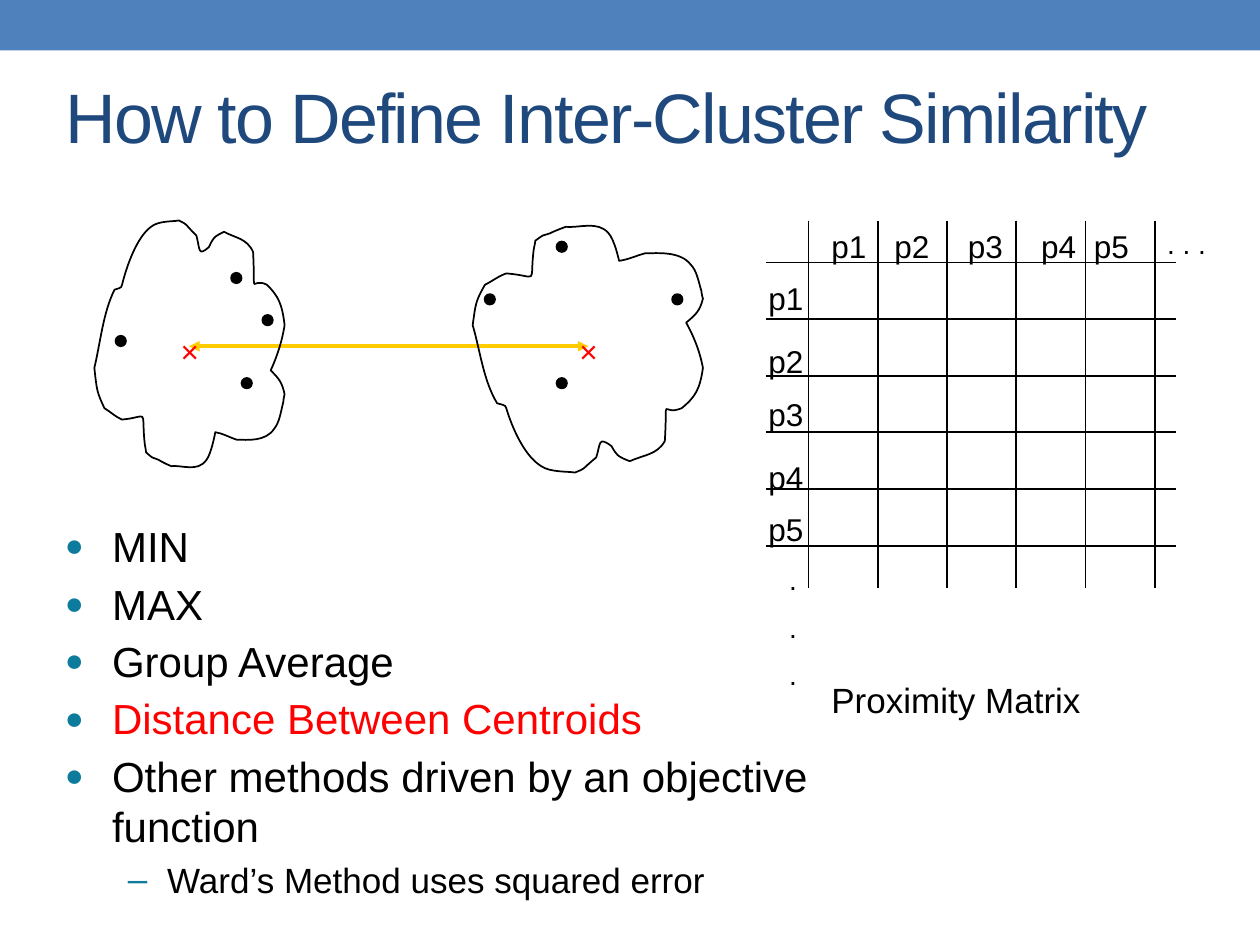
"""Build a slide on inter-cluster similarity with two clusters and a proximity matrix."""
import lxml.etree
import pptx
import pptx.dml.color
import pptx.enum.shapes
import pptx.enum.text
import pptx.oxml.ns
import pptx.util

Cm, Pt = pptx.util.Cm, pptx.util.Pt
qn = pptx.oxml.ns.qn

COLORS = {"banner": "4F81BD", "title": "1F497D", "ink": "000000",
          "accent": "FF0000", "arrow": "FFCC00", "bullet": "0C7B9C"}
FONT = "Arial"
TITLE = "How to Define Inter-Cluster Similarity"
METHODS = [
    ("MIN", 0, "ink"),
    ("MAX", 0, "ink"),
    ("Group Average", 0, "ink"),
    ("Distance Between Centroids", 0, "accent"),
    ("Other methods driven by an objective function", 0, "ink"),
    ("Ward’s Method uses squared error", 1, "ink"),
]
LEVELS = [
    {"size": 24, "margin": 0.95, "hanging": 0.95, "mark": "●", "percent": 75},
    {"size": 20, "margin": 2.06, "hanging": 0.79, "mark": "–", "percent": 100},
]
POINTS = ["p1", "p2", "p3", "p4", "p5"]
COLUMN_LEFTS = [16.51, 17.78, 19.26, 20.74, 21.8]
ROW_TOPS = [5.5, 6.77, 7.83, 9.1, 10.16]
GRID = {"left": 15.45, "right": 23.7, "top": 4.45, "bottom": 11.86,
        "first_x": 16.3, "last_x": 23.28, "first_y": 5.29, "last_y": 11}

OUTLINE_UNIT = 0.0254
OUTLINE_CENTER = (75.5, 97.5)
OUTLINE_START = (16, 55)
OUTLINE_CURVES = [
    (7, 73, 5, 96, 0, 117), (2, 135, 2, 136, 8, 149), (13, 152, 17, 156, 22, 158),
    (44, 156, 37, 148, 40, 177), (40, 179, 41, 181, 41, 184), (48, 190, 44, 187, 51, 190),
    (54, 192, 61, 195, 61, 195), (70, 194, 82, 200, 89, 190), (93, 185, 96, 168, 96, 168),
    (102, 169, 107, 172, 113, 174), (121, 174, 136, 176, 143, 165),
    (147, 160, 148, 152, 150, 144), (150, 142, 151, 138, 151, 138),
    (149, 128, 146, 125, 140, 119), (145, 108, 149, 96, 151, 83), (149, 66, 146, 60, 137, 51),
    (123, 44, 128, 65, 126, 25), (121, 14, 112, 14, 103, 9), (97, 12, 95, 12, 91, 21),
    (82, 29, 84, 23, 81, 12), (70, 1, 75, 4, 67, 0), (63, 1, 51, 0, 45, 5),
    (34, 13, 26, 35, 22, 51), (22, 54, 18, 54, 16, 55),
]
CLUSTERS = [
    {"center": (3.82, 6.92), "stretch": 1, "direction": 1, "rotation": 270,
     "dots": [(4.87, 7.62), (4.66, 5.5), (2.33, 6.77), (5.29, 6.35)], "centroid": 3.39},
    {"center": (11.85, 7.05), "stretch": 1.21, "direction": -1, "rotation": 90,
     "dots": [(13.55, 5.93), (9.77, 5.93), (11.22, 7.62), (11.22, 4.87)], "centroid": 11.43},
]
DOT_SIZE = 0.21


def rgb(name):
    return pptx.dml.color.RGBColor.from_string(COLORS[name])


def style(paragraph, size, color):
    paragraph.font.name = FONT
    paragraph.font.size = Pt(size)
    paragraph.font.color.rgb = rgb(color)


def add_text(parent, box, lines, size, color="ink"):
    shape = parent.shapes.add_textbox(*map(Cm, box))
    frame = shape.text_frame
    frame.word_wrap = True
    frame.text = "\n".join(lines)
    for index, paragraph in enumerate(frame.paragraphs):
        paragraph.space_before = Pt(size / 2 if index else 0)
        style(paragraph, size, color)
    return frame


def add_line(parent, start, end, color="ink", width=1):
    line = parent.shapes.add_connector(
        pptx.enum.shapes.MSO_CONNECTOR.STRAIGHT, *map(Cm, start + end))
    line.line.color.rgb = rgb(color)
    line.line.width = Pt(width)
    lxml.etree.SubElement(line._element.spPr, qn("a:effectLst"))
    return line


def add_filled(slide, kind, box, color):
    shape = slide.shapes.add_shape(kind, *map(Cm, box))
    shape.shadow.inherit = False
    shape.fill.solid()
    shape.fill.fore_color.rgb = rgb(color)
    shape.line.color.rgb = rgb(color)
    return shape


def place(cluster, x, y):
    across = (x - OUTLINE_CENTER[0]) * cluster["stretch"] * OUTLINE_UNIT
    down = (y - OUTLINE_CENTER[1]) * OUTLINE_UNIT
    center_x, center_y = cluster["center"]
    return Cm(center_x - down), Cm(center_y + cluster["direction"] * across)


def add_outline(slide, cluster):
    start = place(cluster, *OUTLINE_START)
    curves = [[place(cluster, *curve[i:i + 2]) for i in (0, 2, 4)] for curve in OUTLINE_CURVES]
    builder = slide.shapes.build_freeform(*start)
    builder.add_line_segments([curve[-1] for curve in curves], close=True)
    shape = builder.convert_to_shape()
    left, top = shape.left, shape.top
    segments = list(shape._element.iter(qn("a:lnTo")))
    for segment, curve in zip(segments, curves):
        bend = lxml.etree.Element(qn("a:cubicBezTo"))
        for x, y in curve:
            lxml.etree.SubElement(bend, qn("a:pt"), x=str(x - left), y=str(y - top))
        segment.getparent().replace(segment, bend)
    shape.rotation = cluster["rotation"]
    shape.shadow.inherit = False
    shape.fill.background()
    shape.line.color.rgb = rgb("ink")
    shape.line.width = Pt(1)


def add_cluster(slide, cluster):
    add_outline(slide, cluster)
    for left, top in cluster["dots"]:
        dot = add_filled(slide, pptx.enum.shapes.MSO_SHAPE.OVAL,
                         (left, top, DOT_SIZE, DOT_SIZE), "ink")
        dot.line.width = Pt(1)
    add_text(slide, (cluster["centroid"], 6.56, 0.64, 0.85), ["×"], 18, "accent")


def add_matrix(slide):
    matrix = slide.shapes.add_group_shape()
    count = len(POINTS)
    for index in range(count + 1):
        x = GRID["first_x"] + index * (GRID["last_x"] - GRID["first_x"]) / count
        y = GRID["first_y"] + index * (GRID["last_y"] - GRID["first_y"]) / count
        add_line(matrix, (x, GRID["top"]), (x, GRID["bottom"]))
        add_line(matrix, (GRID["left"], y), (GRID["right"], y))
    for label, left, top in zip(POINTS, COLUMN_LEFTS, ROW_TOPS):
        add_text(matrix, (left, GRID["top"], 1.48, 0.85), [label], 18)
        add_text(matrix, (15.24, top, 1.48, 0.85), [label], 18)
    add_text(matrix, (23.28, GRID["top"], 1.48, 0.93), [". . ."], 16)
    add_text(matrix, (15.66, 11.22, 1.48, 2.96), ["."] * 3, 16)
    add_text(slide, (16.51, 13.55, 6.99, 1.08), ["Proximity Matrix"], 20)


def add_methods(slide):
    frame = add_text(slide, (1.06, 10.37, 16.09, 8.68), [text for text, _, _ in METHODS], 24)
    for paragraph, (_, depth, color) in zip(frame.paragraphs, METHODS):
        level = LEVELS[depth]
        paragraph.level = depth
        paragraph.space_before = paragraph.space_after = Pt(2)
        style(paragraph, level["size"], color)
        properties = paragraph._p.get_or_add_pPr()
        properties.set("marL", str(Cm(level["margin"])))
        properties.set("indent", str(-Cm(level["hanging"])))
        defaults = properties.find(qn("a:defRPr"))
        bullet_color = lxml.etree.Element(qn("a:buClr"))
        lxml.etree.SubElement(bullet_color, qn("a:srgbClr"), val=COLORS["bullet"])
        for element in (
                bullet_color,
                lxml.etree.Element(qn("a:buSzPct"), val=str(level["percent"] * 1000)),
                lxml.etree.Element(qn("a:buFont"), typeface=FONT),
                lxml.etree.Element(qn("a:buChar"), char=level["mark"])):
            defaults.addprevious(element)


def main():
    presentation = pptx.Presentation()
    presentation.slide_width, presentation.slide_height = Cm(25.4), Cm(19.05)
    slide = presentation.slides.add_slide(presentation.slide_layouts[6])
    banner = add_filled(slide, pptx.enum.shapes.MSO_SHAPE.RECTANGLE, (0, 0, 25.4, 1.02), "banner")
    banner.line.fill.background()
    title = add_text(slide, (1.07, 0.64, 23.01, 3.38), [TITLE], 40, "title")
    title.vertical_anchor = pptx.enum.text.MSO_ANCHOR.MIDDLE
    title.paragraphs[0].runs[0]._r.get_or_add_rPr().set("spc", "-100")
    arrow = add_line(slide, (3.81, 6.98), (11.86, 6.98), "arrow", 2)
    for end in ("a:headEnd", "a:tailEnd"):
        lxml.etree.SubElement(arrow.line._get_or_add_ln(), qn(end), type="triangle")
    for cluster in CLUSTERS:
        add_cluster(slide, cluster)
    add_matrix(slide)
    add_methods(slide)
    presentation.save("out.pptx")


if __name__ == "__main__":
    main()
